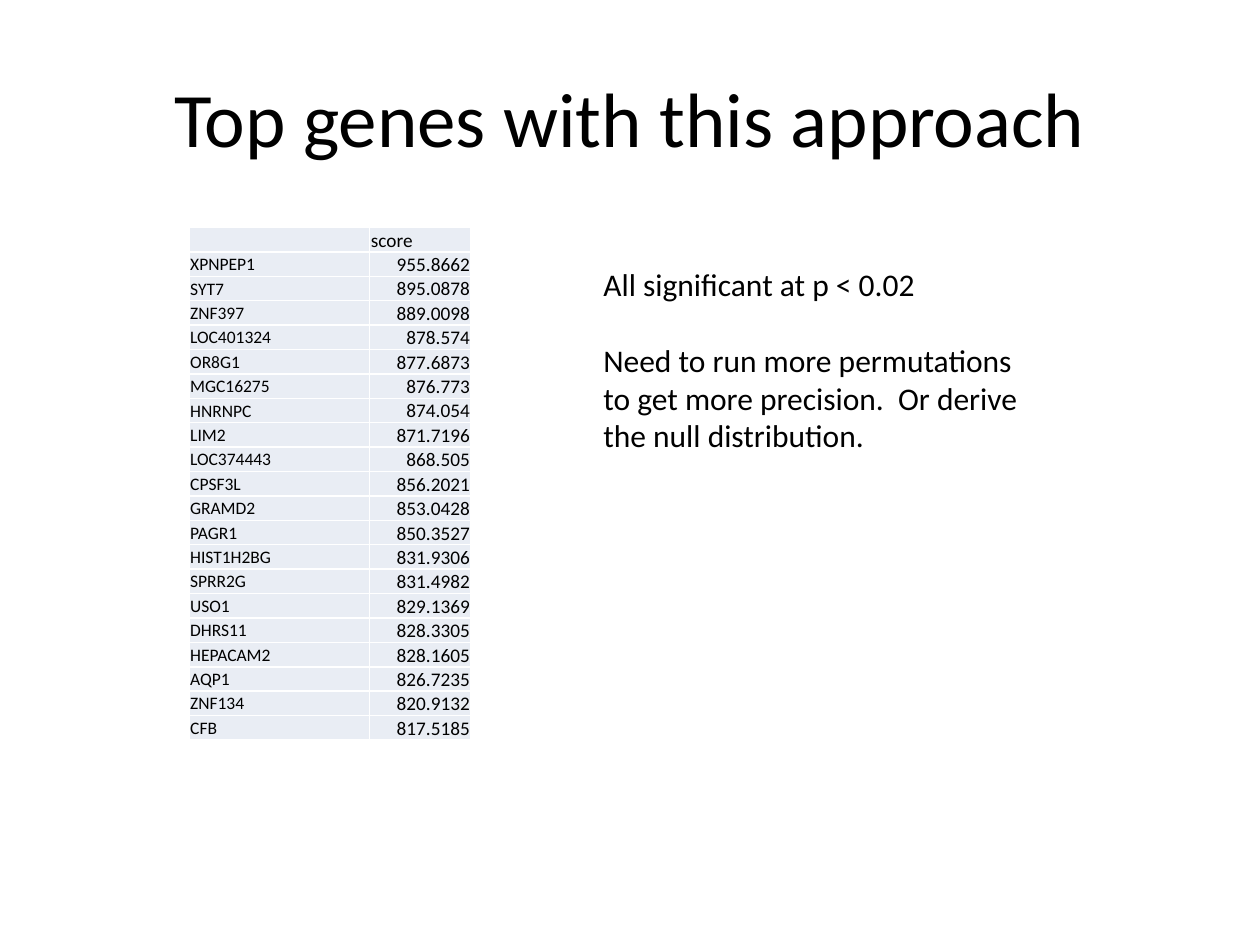
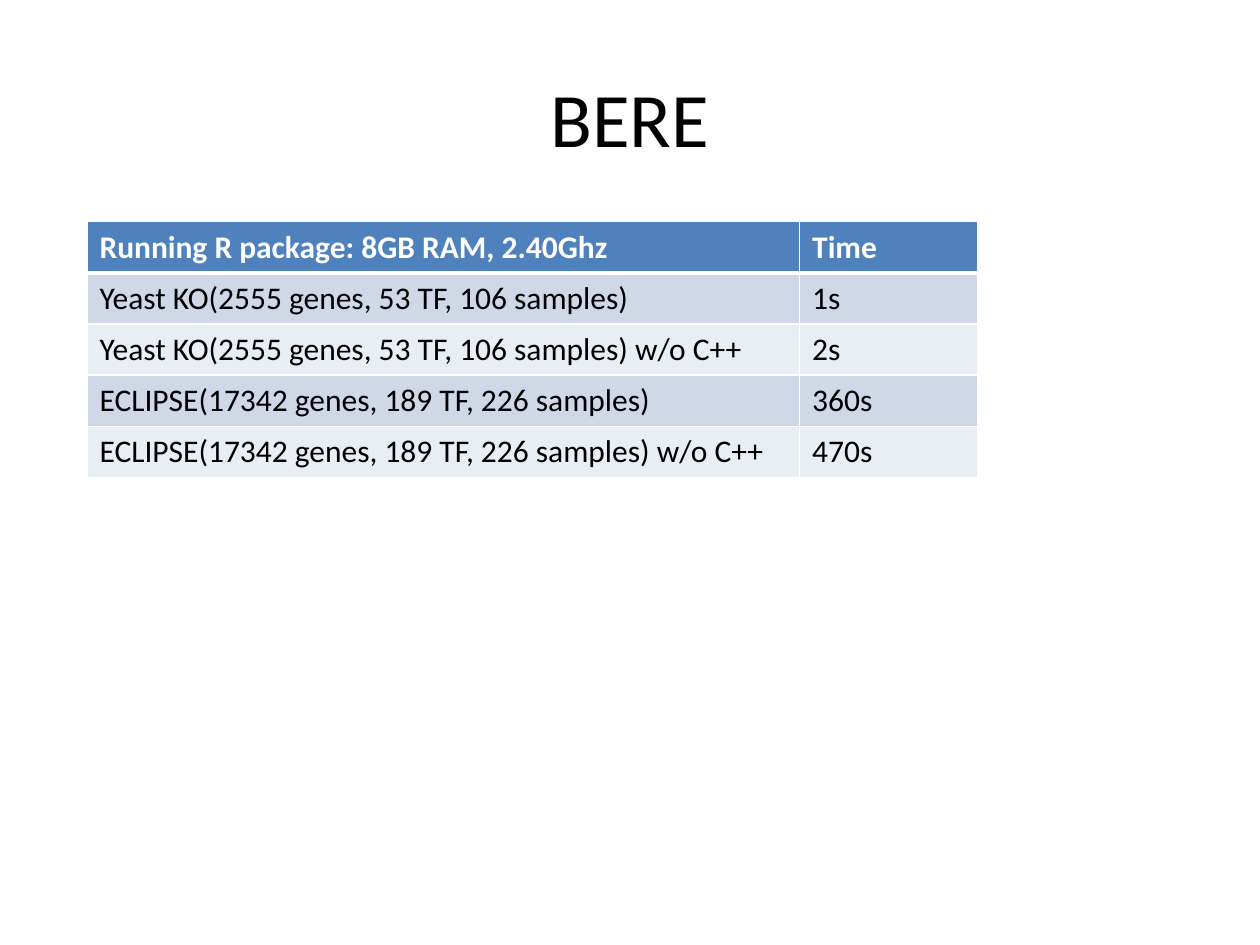
import dataclasses

import lxml.etree
import pptx
import pptx.dml.color
import pptx.enum.text
import pptx.oxml.ns
import pptx.util

ALIGN = pptx.enum.text.PP_ALIGN
ANCHOR = pptx.enum.text.MSO_ANCHOR


@dataclasses.dataclass(frozen=True)
class Theme:
    """Colours, font and type sizes of the presentation."""
    font: str = "Calibri"
    ink: str = "000000"
    white: str = "FFFFFF"
    header: str = "4F81BD"
    band_dark: str = "D0D8E8"
    band_light: str = "E9EDF4"
    title_size: float = 44
    body_size: float = 18
    score_size: float = 11
    gene_size: float = 10
    thin_line: float = 1
    header_line: float = 3


@dataclasses.dataclass(frozen=True)
class Box:
    """A region in grid units of a tenth of an inch."""
    left: float
    top: float
    width: float
    height: float

    def lengths(self):
        """Return left, top, width and height as slide lengths."""
        return [grid(value) for value in dataclasses.astuple(self)]


THEME = Theme()
COLUMNS, ROWS = 100, 75
TITLE_BOX = Box(5, 3, 90, 12.5)
GENE_BOX = Box(15, 18.05, 22.4, 40.7)
NOTE_BOX = Box(46.9, 20.5, 36.5, 16.2)
TIMING_BOX = Box(6.9, 17.6, 70.7, 20.3)

GENE_SCORES = [
    ("", "score"),
    ("XPNPEP1", "955.8662"),
    ("SYT7", "895.0878"),
    ("ZNF397", "889.0098"),
    ("LOC401324", "878.574"),
    ("OR8G1", "877.6873"),
    ("MGC16275", "876.773"),
    ("HNRNPC", "874.054"),
    ("LIM2", "871.7196"),
    ("LOC374443", "868.505"),
    ("CPSF3L", "856.2021"),
    ("GRAMD2", "853.0428"),
    ("PAGR1", "850.3527"),
    ("HIST1H2BG", "831.9306"),
    ("SPRR2G", "831.4982"),
    ("USO1", "829.1369"),
    ("DHRS11", "828.3305"),
    ("HEPACAM2", "828.1605"),
    ("AQP1", "826.7235"),
    ("ZNF134", "820.9132"),
    ("CFB", "817.5185"),
]
NOTES = [
    "All significant at p < 0.02",
    "Need to run more permutations to get more precision.  Or derive the null distribution.",
]
TIMINGS = [
    ("Running R package: 8GB RAM, 2.40Ghz", "Time"),
    ("Yeast KO(2555 genes, 53 TF, 106 samples)", "1s"),
    ("Yeast KO(2555 genes, 53 TF, 106 samples) w/o C++", "2s"),
    ("ECLIPSE(17342 genes, 189 TF, 226 samples)", "360s"),
    ("ECLIPSE(17342 genes, 189 TF, 226 samples) w/o C++", "470s"),
]


def grid(units):
    """Convert grid units to a length."""
    return pptx.util.Inches(units / 10)


def style_paragraph(paragraph, size, color=THEME.ink, bold=False, align=ALIGN.LEFT):
    """Set the font and alignment of a paragraph."""
    paragraph.alignment = align
    paragraph.font.name = THEME.font
    paragraph.font.size = pptx.util.Pt(size)
    paragraph.font.bold = bold
    paragraph.font.color.rgb = pptx.dml.color.RGBColor.from_string(color)


def add_text(slide, box, texts, size, align=ALIGN.LEFT, anchor=ANCHOR.TOP, gap=0):
    """Place a wrapped text box with one paragraph for each text."""
    frame = slide.shapes.add_textbox(*box.lengths()).text_frame
    frame.word_wrap = True
    frame.vertical_anchor = anchor
    for index, text in enumerate(texts):
        paragraph = frame.paragraphs[0] if index == 0 else frame.add_paragraph()
        paragraph.text = text
        style_paragraph(paragraph, size, align=align)
        if index:
            paragraph.space_before = pptx.util.Pt(gap)


def add_title(slide, text):
    """Place the shared slide title."""
    add_text(slide, TITLE_BOX, [text], THEME.title_size, ALIGN.CENTER, ANCHOR.MIDDLE)


def set_borders(cell, top, bottom):
    """Draw white borders around a cell."""
    properties = cell._tc.get_or_add_tcPr()
    widths = {"L": THEME.thin_line, "R": THEME.thin_line, "T": top, "B": bottom}
    for side, width in widths.items():
        line = lxml.etree.SubElement(
            properties, pptx.oxml.ns.qn(f"a:ln{side}"), w=str(pptx.util.Pt(width)))
        fill = lxml.etree.SubElement(line, pptx.oxml.ns.qn("a:solidFill"))
        lxml.etree.SubElement(fill, pptx.oxml.ns.qn("a:srgbClr"), val=THEME.white)


def fill_cell(cell, text, fill, size, **style):
    """Set the text, font and fill of a cell."""
    cell.text = text
    paragraph = cell.text_frame.paragraphs[0]
    style_paragraph(paragraph, size, **style)
    if not text:
        lxml.etree.SubElement(
            paragraph._p, pptx.oxml.ns.qn("a:endParaRPr"), sz=str(size * 100))
    cell.fill.solid()
    cell.fill.fore_color.rgb = pptx.dml.color.RGBColor.from_string(fill)


def add_grid_table(slide, box, row_count, shares):
    """Place an unstyled table with columns sized by their shares of the box."""
    table = slide.shapes.add_table(row_count, len(shares), *box.lengths()).table
    table.first_row = table.horz_banding = False
    for column, share in zip(table.columns, shares):
        column.width = grid(box.width * share)
    for row in table.rows:
        row.height = grid(box.height / row_count)
    return table


def add_gene_table(slide, box):
    """Place the compact table of genes and scores."""
    table = add_grid_table(slide, box, len(GENE_SCORES), (0.64, 0.36))
    for row, texts in enumerate(GENE_SCORES):
        for column, text in enumerate(texts):
            cell = table.cell(row, column)
            cell.margin_left = cell.margin_right = cell.margin_top = grid(0.1)
            cell.margin_bottom = 0
            cell.vertical_anchor = ANCHOR.BOTTOM if column else ANCHOR.MIDDLE
            set_borders(cell, THEME.thin_line, THEME.thin_line)
            fill_cell(cell, text, THEME.band_light,
                      THEME.score_size if column else THEME.gene_size,
                      align=ALIGN.RIGHT if row and column else ALIGN.LEFT)


def add_timing_table(slide, box):
    """Place the banded table of running times."""
    table = add_grid_table(slide, box, len(TIMINGS), (0.8, 0.2))
    for row, texts in enumerate(TIMINGS):
        is_header = row == 0
        band = THEME.band_dark if row % 2 else THEME.band_light
        for column, text in enumerate(texts):
            cell = table.cell(row, column)
            set_borders(cell,
                        THEME.header_line if row == 1 else THEME.thin_line,
                        THEME.header_line if is_header else THEME.thin_line)
            fill_cell(cell, text, THEME.header if is_header else band,
                      THEME.body_size, bold=is_header,
                      color=THEME.white if is_header else THEME.ink)


def add_blank_slide(presentation):
    """Add a slide on the blank layout."""
    return presentation.slides.add_slide(presentation.slide_layouts[6])


def build_gene_slide(presentation):
    """Build the slide of top genes."""
    slide = add_blank_slide(presentation)
    add_title(slide, "Top genes with this approach")
    add_gene_table(slide, GENE_BOX)
    add_text(slide, NOTE_BOX, NOTES, THEME.body_size, gap=22)


def build_timing_slide(presentation):
    """Build the slide of running times."""
    slide = add_blank_slide(presentation)
    add_title(slide, "BERE")
    add_timing_table(slide, TIMING_BOX)


def main():
    """Build and save the presentation."""
    presentation = pptx.Presentation()
    presentation.slide_width = grid(COLUMNS)
    presentation.slide_height = grid(ROWS)
    build_gene_slide(presentation)
    build_timing_slide(presentation)
    presentation.save("out.pptx")


if __name__ == "__main__":
    main()
